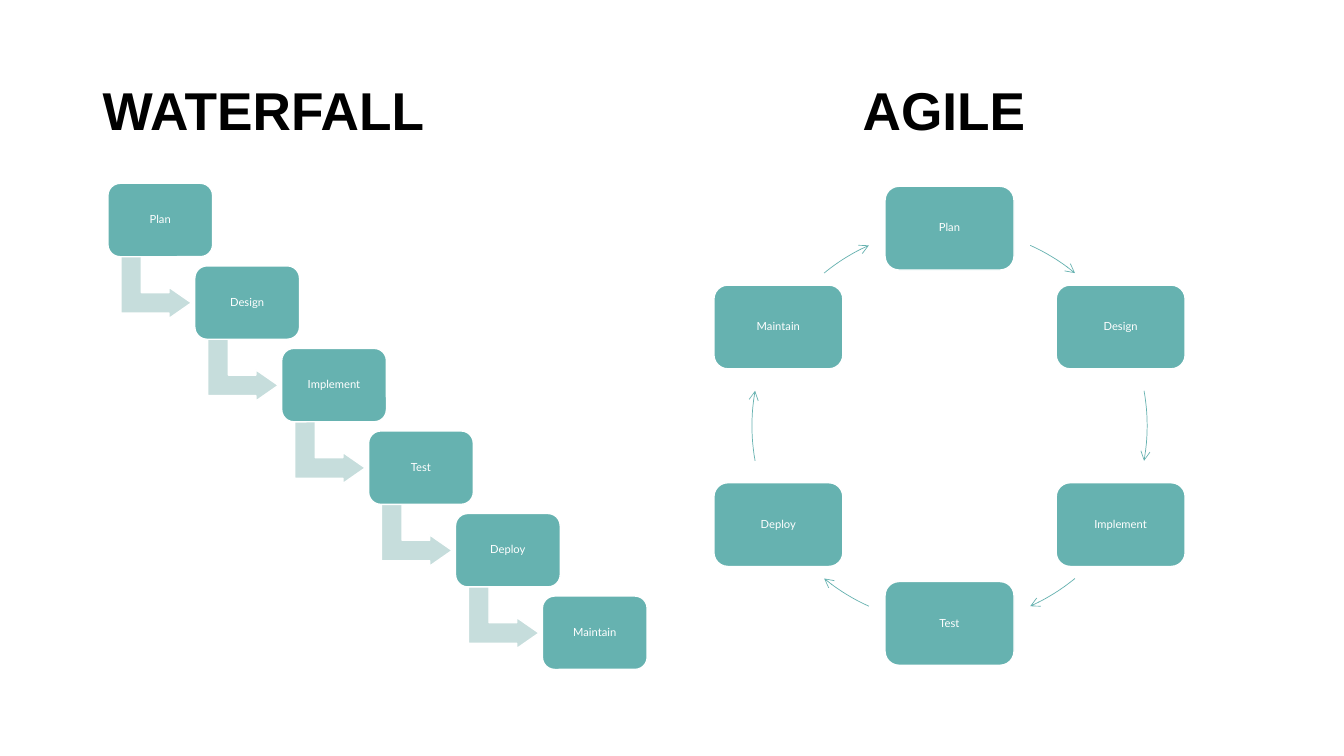
from math import cos, radians, sin

from lxml.etree import SubElement
from pptx import Presentation
from pptx.dml.color import RGBColor
from pptx.enum.shapes import MSO_SHAPE as Preset
from pptx.enum.text import MSO_ANCHOR as Anchor, PP_ALIGN as Align
from pptx.oxml.ns import qn
from pptx.util import Cm, Pt

COLOURS = {"stage": "66B2B0", "step": "C6DDDC", "white": "FFFFFF", "black": "000000"}
STAGES = ["Plan", "Design", "Implement", "Test", "Deploy", "Maintain"]
ARC_SPANS = [(24.1, 39.4), (79.8, 100.2), (140.6, 155.9)]
CENTRE_X, CENTRE_Y, RADIUS = 23.93, 10.73, 4.98
ARC_SEGMENTS = 12


def on_cycle(degrees):
    angle = radians(degrees)
    return CENTRE_X + RADIUS * sin(angle), CENTRE_Y - RADIUS * cos(angle)


class Board:
    def __init__(self, slide):
        self.shapes = slide.shapes

    def colour(self, name):
        return RGBColor.from_string(COLOURS[name])

    def label(self, frame, words, font, size, colour, bold=False, align=Align.LEFT):
        frame.text = words
        frame.word_wrap = True
        frame.vertical_anchor = Anchor.MIDDLE
        paragraph = frame.paragraphs[0]
        paragraph.alignment = align
        paragraph.line_spacing = 0.9
        style = paragraph.runs[0].font
        style.name, style.size, style.bold = font, Pt(size), bold
        style.color.rgb = self.colour(colour)

    def title(self, words, left, width):
        heading = self.shapes.add_textbox(Cm(left), Cm(1.02), Cm(width), Cm(3.68))
        self.label(heading.text_frame, words, "Arial", 38, "black", bold=True)

    def block(self, preset, left, top, width, height, fill):
        block = self.shapes.add_shape(preset, Cm(left), Cm(top), Cm(width), Cm(height))
        block.shadow.inherit = False
        block.fill.solid()
        block.fill.fore_color.rgb = self.colour(fill)
        block.line.color.rgb = self.colour("white")
        block.line.width = Pt(1)
        return block

    def stage(self, words, left, top, width, height):
        stage = self.block(Preset.ROUNDED_RECTANGLE, left, top, width, height, "stage")
        frame = stage.text_frame
        frame.margin_left = frame.margin_right = Cm(0.08)
        frame.margin_top = frame.margin_bottom = Cm(0.08)
        self.label(frame, words, "Lato", 8, "white", align=Align.CENTER)

    def step_arrow(self, left, top):
        arrow = self.block(Preset.BENT_UP_ARROW, left, top, 1.57, 1.78, "step")
        arrow.rotation = 90
        for index, value in enumerate((0.33, 0.25, 0.36)):
            arrow.adjustments[index] = value

    def cycle_arrow(self, start, end):
        turn = (end - start) / ARC_SEGMENTS
        points = [on_cycle(start + turn * i) for i in range(ARC_SEGMENTS + 1)]
        first, *rest = [(Cm(x), Cm(y)) for x, y in points]
        builder = self.shapes.build_freeform(*first)
        builder.add_line_segments(rest, close=False)
        arc = builder.convert_to_shape()
        arc.shadow.inherit = False
        arc.fill.background()
        arc.line.color.rgb = self.colour("stage")
        arc.line.width = Pt(0.5)
        outline = arc.element.spPr.find(qn("a:ln"))
        SubElement(outline, qn("a:tailEnd"), type="arrow")


def main():
    deck = Presentation()
    deck.slide_width, deck.slide_height = Cm(33.87), Cm(19.05)
    board = Board(deck.slides.add_slide(deck.slide_layouts[6]))

    board.title("WATERFALL", 2.34, 9.8)
    for i, name in enumerate(STAGES):
        across, down = 2.19 * i, 2.08 * i
        if i < len(STAGES) - 1:
            board.step_arrow(3.15 + across, 6.35 + down)
        board.stage(name, 2.72 + across, 4.62 + down, 2.64, 1.85)

    board.title("AGILE", 21.49, 10)
    width, height = 3.25, 2.11
    for i, name in enumerate(STAGES):
        x, y = on_cycle(360 / len(STAGES) * i)
        board.stage(name, x - width / 2, y - height / 2, width, height)
    for half_turn in (0, 180):
        for start, end in ARC_SPANS:
            board.cycle_arrow(start + half_turn, end + half_turn)

    deck.save("out.pptx")


if __name__ == "__main__":
    main()
